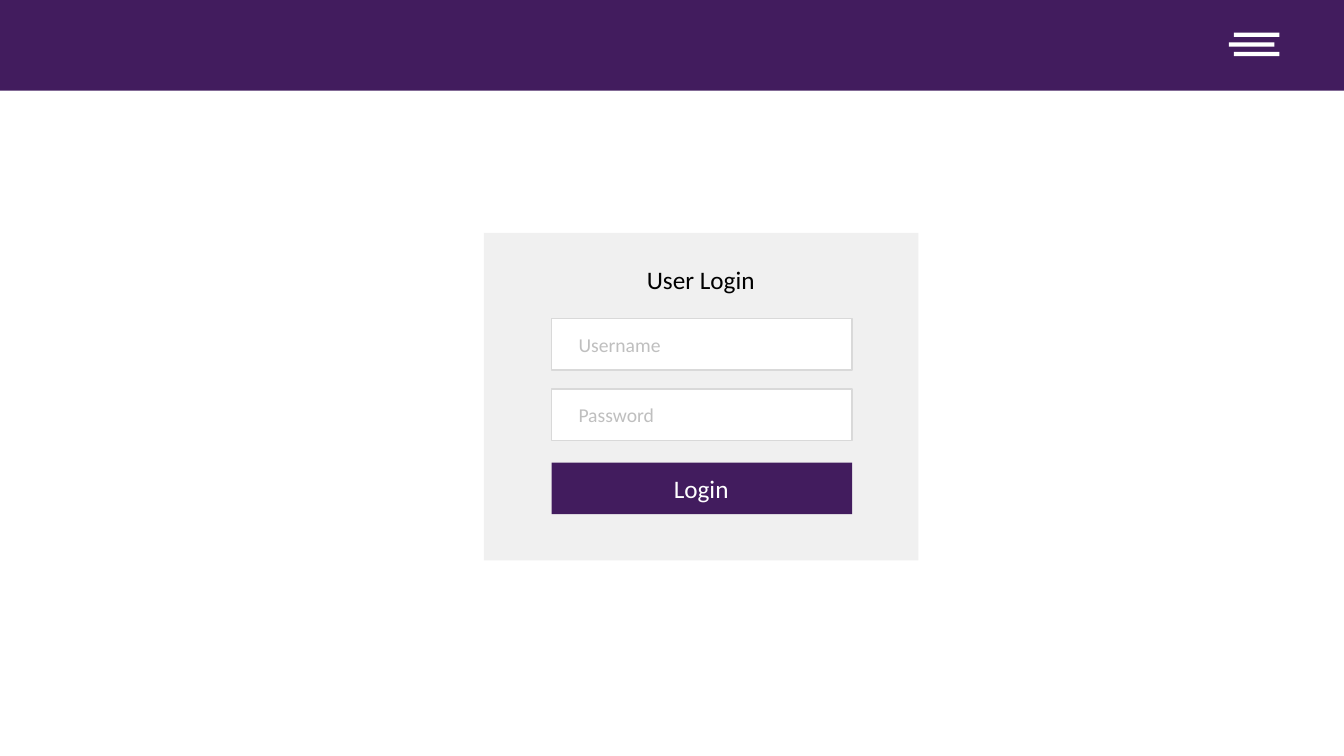
"""Build a login page mock-up slide."""
from dataclasses import dataclass

from pptx import Presentation
from pptx.dml.color import RGBColor
from pptx.enum.shapes import MSO_SHAPE
from pptx.enum.text import MSO_ANCHOR, MSO_AUTO_SIZE, PP_ALIGN
from pptx.shapes.autoshape import Shape
from pptx.util import Inches, Pt

RECTANGLE = MSO_SHAPE.RECTANGLE
ROUNDED = MSO_SHAPE.ROUNDED_RECTANGLE
LEFT, CENTER = PP_ALIGN.LEFT, PP_ALIGN.CENTER
MIDDLE = MSO_ANCHOR.MIDDLE
FIT_SHAPE = MSO_AUTO_SIZE.SHAPE_TO_FIT_TEXT

FONT = "Calibri"
PURPLE, WHITE, BLACK = "421C5E", "FFFFFF", "000000"
PANEL_GREY, BORDER_GREY, HINT_GREY = "F0F0F0", "D9D9D9", "BFBFBF"

SLIDE_WIDTH, SLIDE_HEIGHT = Inches(13.33), Inches(7.5)
GRID = 100  # columns across and rows down the slide


@dataclass(frozen=True)
class Box:
    """A rectangle in grid columns and rows."""
    column: float
    row: float
    columns: float
    rows: float


@dataclass(frozen=True)
class Caption:
    """A one-line text centred vertically on a row."""
    text: str
    column: float
    middle_row: float
    columns: float
    size: int
    color: str
    align: PP_ALIGN = CENTER


@dataclass(frozen=True)
class Control:
    """A form control: its top row, fill, border and caption style."""
    text: str
    row: float
    fill: str
    border: str | None
    caption_column: float
    caption_columns: float
    size: int
    color: str
    align: PP_ALIGN


HEADER = Box(0, 0, 100, 12)
PANEL = Box(36, 30.8, 32.33, 43.33)
FORM_COLUMN, FORM_COLUMNS, CONTROL_ROWS = 41.04, 22.36, 6.8
HINT_COLUMN = 42.31

MENU_COLUMNS = (91.8, 91.43, 91.8)
MENU_ROW, MENU_PITCH = 4.33, 1.27
MENU_BAR_COLUMNS, MENU_BAR_ROWS = 3.4, 0.56

TITLE = Caption("User Login", 47.34, 37, 9.6, 18, BLACK)
CONTROLS = (
    Control("Login", 61.2, PURPLE, None, 49.36, 5.63, 18, WHITE, CENTER),
    Control("Username", 42.13, WHITE, BORDER_GREY, HINT_COLUMN, 7.65, 14, HINT_GREY, LEFT),
    Control("Password", 51.47, WHITE, BORDER_GREY, HINT_COLUMN, 7.2, 14, HINT_GREY, LEFT),
)


def rgb(color: str) -> RGBColor:
    """Turn a hex string into a colour."""
    return RGBColor.from_string(color)


def place(box: Box) -> tuple[int, int, int, int]:
    """Convert grid units to left, top, width and height."""
    return (
        round(box.column * SLIDE_WIDTH / GRID),
        round(box.row * SLIDE_HEIGHT / GRID),
        round(box.columns * SLIDE_WIDTH / GRID),
        round(box.rows * SLIDE_HEIGHT / GRID),
    )


def draw_box(shapes, kind: MSO_SHAPE, box: Box, fill: str, border: str | None = None) -> Shape:
    """Draw a filled box with square corners and an optional border."""
    shape = shapes.add_shape(kind, *place(box))
    shape.shadow.inherit = False
    if kind == ROUNDED:
        shape.adjustments[0] = 0
    shape.fill.solid()
    shape.fill.fore_color.rgb = rgb(fill)
    if border:
        shape.line.color.rgb = rgb(border)
        shape.line.width = Pt(1)
    else:
        shape.line.fill.background()
    return shape


def draw_caption(shapes, caption: Caption) -> None:
    """Write a caption in an unwrapped text box."""
    rows = 5.38 if caption.size == 18 else 4.49
    box = Box(caption.column, caption.middle_row - rows / 2, caption.columns, rows)
    frame = shapes.add_textbox(*place(box)).text_frame
    frame.word_wrap = False
    frame.auto_size = FIT_SHAPE
    frame.vertical_anchor = MIDDLE
    paragraph = frame.paragraphs[0]
    paragraph.alignment = caption.align
    run = paragraph.add_run()
    run.text = caption.text
    run.font.name = FONT
    run.font.size = Pt(caption.size)
    run.font.color.rgb = rgb(caption.color)


def draw_menu_icon(slide) -> None:
    """Draw the three staggered bars of the menu icon."""
    group = slide.shapes.add_group_shape()
    for index, column in enumerate(MENU_COLUMNS):
        row = MENU_ROW + index * MENU_PITCH
        bar = Box(column, row, MENU_BAR_COLUMNS, MENU_BAR_ROWS)
        draw_box(group.shapes, RECTANGLE, bar, WHITE)


def draw_control(slide, control: Control) -> None:
    """Draw a form control and its caption as one group."""
    group = slide.shapes.add_group_shape()
    box = Box(FORM_COLUMN, control.row, FORM_COLUMNS, CONTROL_ROWS)
    draw_box(group.shapes, ROUNDED, box, control.fill, control.border)
    draw_caption(group.shapes, Caption(
        control.text, control.caption_column, control.row + CONTROL_ROWS / 2,
        control.caption_columns, control.size, control.color, control.align))


def main() -> None:
    """Assemble and save the slide."""
    presentation = Presentation()
    presentation.slide_width = SLIDE_WIDTH
    presentation.slide_height = SLIDE_HEIGHT
    slide = presentation.slides.add_slide(presentation.slide_layouts[6])
    draw_box(slide.shapes, RECTANGLE, HEADER, PURPLE)
    draw_box(slide.shapes, ROUNDED, PANEL, PANEL_GREY)
    draw_menu_icon(slide)
    for control in CONTROLS:
        draw_control(slide, control)
    draw_caption(slide.shapes, TITLE)
    presentation.save("out.pptx")


main()
